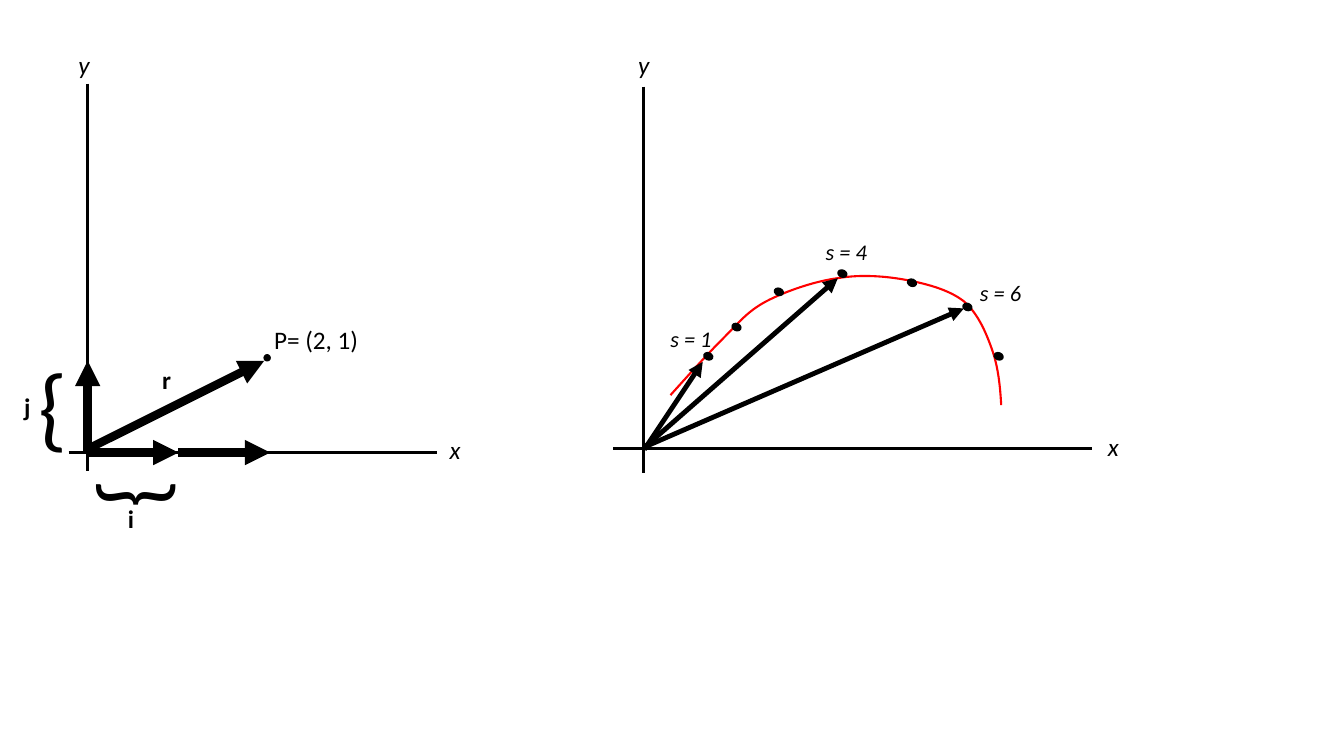
import pptx
import pptx.util
import pptx.dml.color
import pptx.enum.shapes
import pptx.enum.text
import pptx.oxml.xmlchemy
from pptx.util import Inches

BLACK = pptx.dml.color.RGBColor(0, 0, 0)
RED = pptx.dml.color.RGBColor(255, 0, 0)
FONT = "Calibri"

# Lines: start, end, width in points
AXES = [
    ((0.87, 0.83), (0.87, 4.67), 2.25),
    ((0.68, 4.49), (4.33, 4.49), 2.25),
    ((6.38, 0.86), (6.38, 4.69), 2),
    ((6.08, 4.45), (10.83, 4.45), 2),
]
# Arrows: tail, tip, width in points
ARROWS = [
    ((0.87, 4.49), (1.77, 4.49), 6),
    ((1.77, 4.49), (2.68, 4.49), 6),
    ((0.87, 4.49), (0.87, 3.58), 6),
    ((0.88, 4.45), (2.62, 3.58), 6),
    ((6.39, 4.46), (6.97, 3.59), 3.5),
    ((6.39, 4.44), (8.31, 2.76), 3.5),
    ((6.38, 4.44), (9.56, 3.06), 3.5),
]
# Cubic curve: start point, then two control points and an end point per segment
CURVE = [
    (6.65, 3.92),
    (6.83, 3.72), (7.01, 3.52), (7.17, 3.36),
    (7.32, 3.21), (7.41, 3.09), (7.6, 2.99),
    (7.79, 2.89), (8.08, 2.79), (8.31, 2.76),
    (8.54, 2.72), (8.79, 2.74), (9, 2.78),
    (9.21, 2.82), (9.42, 2.88), (9.56, 2.99),
    (9.7, 3.11), (9.78, 3.3), (9.84, 3.47),
    (9.9, 3.64), (9.92, 3.83), (9.93, 4.02),
]
CURVE_DOTS = [(6.99, 3.49), (7.27, 3.2), (7.69, 2.85), (8.32, 2.67),
              (9.01, 2.76), (9.56, 3), (9.87, 3.49)]
POINT_P = (2.62, 3.52)

# Text kinds: box size and font values
KINDS = {
    "axis": ((0.29, 0.4), {"size": 18, "italic": True}),
    "vector": ((0.29, 0.4), {"size": 18, "bold": True}),
    "point": ((1.65, 0.4), {"size": 18}),
    "step": ((0.75, 0.37), {"size": 16, "italic": True}),
    "brace": ((1.11, 1.21), {"size": 66}),
}
# Labels: text, kind, left, top, rotation
LABELS = [
    ("y", "axis", 0.68, 0.44, 0),
    ("x", "axis", 4.36, 4.26, 0),
    ("{", "brace", 0.28, 3.4, 0),
    ("j", "vector", 0.14, 3.83, 0),
    ("{", "brace", 0.7, 3.98, 270),
    ("i", "vector", 1.17, 4.94, 0),
    ("P= (2, 1)", "point", 2.62, 3.17, 0),
    ("r", "vector", 1.51, 3.57, 0),
    ("y", "axis", 6.23, 0.44, 0),
    ("x", "axis", 10.89, 4.23, 0),
    ("s = 1", "step", 6.55, 3.18, 0),
    ("s = 4", "step", 8.09, 2.31, 0),
    ("s = 6", "step", 9.62, 2.72, 0),
]


def add_line(s, start, end, width, arrow=False):
    c = s.shapes.add_connector(pptx.enum.shapes.MSO_CONNECTOR.STRAIGHT,
                               *map(Inches, start + end))
    c.line.color.rgb = BLACK
    c.line.width = pptx.util.Pt(width)
    if arrow:
        tip = pptx.oxml.xmlchemy.OxmlElement("a:tailEnd")
        tip.set("type", "triangle")
        c._element.spPr.get_or_add_ln().append(tip)
    c._element.spPr.append(pptx.oxml.xmlchemy.OxmlElement("a:effectLst"))


def add_dot(s, left, top, width, height, rotation=0):
    sp = s.shapes.add_shape(pptx.enum.shapes.MSO_SHAPE.OVAL,
                            *map(Inches, (left, top, width, height)))
    sp.rotation = rotation
    sp.shadow.inherit = False
    sp.fill.solid()
    sp.fill.fore_color.rgb = sp.line.color.rgb = BLACK
    sp.line.width = pptx.util.Pt(1)


def add_curve(s, points):
    """Draw an open outline and turn each three line steps into one cubic curve."""
    start, *rest = [(Inches(x), Inches(y)) for x, y in points]
    builder = s.shapes.build_freeform(*start)
    builder.add_line_segments(rest, close=False)
    sp = builder.convert_to_shape()
    sp.shadow.inherit = False
    sp.fill.background()
    sp.line.color.rgb = RED
    sp.line.width = pptx.util.Pt(1.5)
    steps = sp._element.xpath(".//a:lnTo")
    for i in range(0, len(steps), 3):
        cubic = pptx.oxml.xmlchemy.OxmlElement("a:cubicBezTo")
        steps[i].addprevious(cubic)
        for step in steps[i:i + 3]:
            cubic.append(step[0])
            step.getparent().remove(step)


def add_label(s, text, kind, left, top, rotation):
    size, font = KINDS[kind]
    sp = s.shapes.add_textbox(*map(Inches, (left, top) + size))
    sp.rotation = rotation
    tf = sp.text_frame
    tf.word_wrap = True
    tf.auto_size = pptx.enum.text.MSO_AUTO_SIZE.SHAPE_TO_FIT_TEXT
    r = tf.paragraphs[0].add_run()
    r.text = text
    r.font.color.rgb = BLACK
    for name, value in {**font, "name": FONT, "size": pptx.util.Pt(font["size"])}.items():
        setattr(r.font, name, value)


def main():
    prs = pptx.Presentation()
    prs.slide_width, prs.slide_height = Inches(13.33), Inches(7.5)
    s = prs.slides.add_slide(prs.slide_layouts[6])
    for axis in AXES:
        add_line(s, *axis)
    add_curve(s, CURVE)
    add_dot(s, *POINT_P, 0.06, 0.06)
    for dot in CURVE_DOTS:
        add_dot(s, *dot, 0.07, 0.09, 292.5)
    for arrow in ARROWS:
        add_line(s, *arrow, arrow=True)
    for label in LABELS:
        add_label(s, *label)
    prs.save("out.pptx")


if __name__ == "__main__":
    main()
